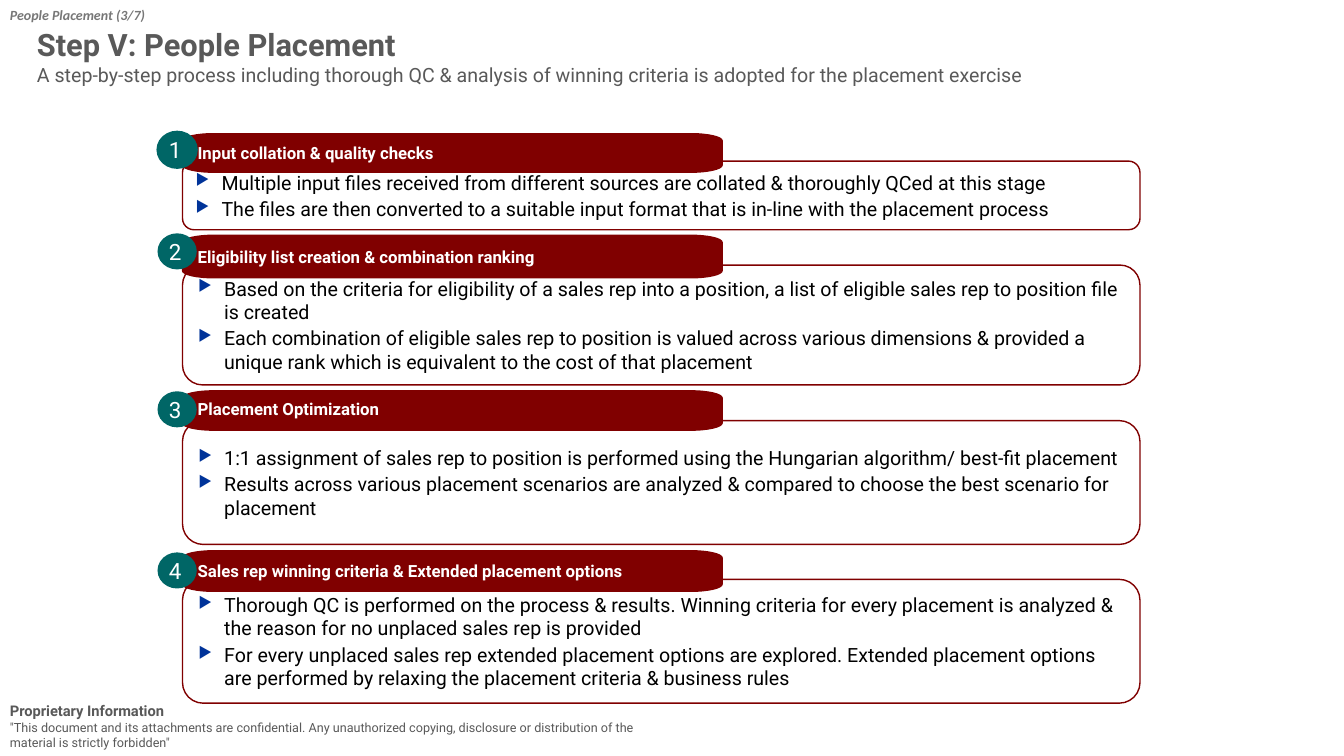
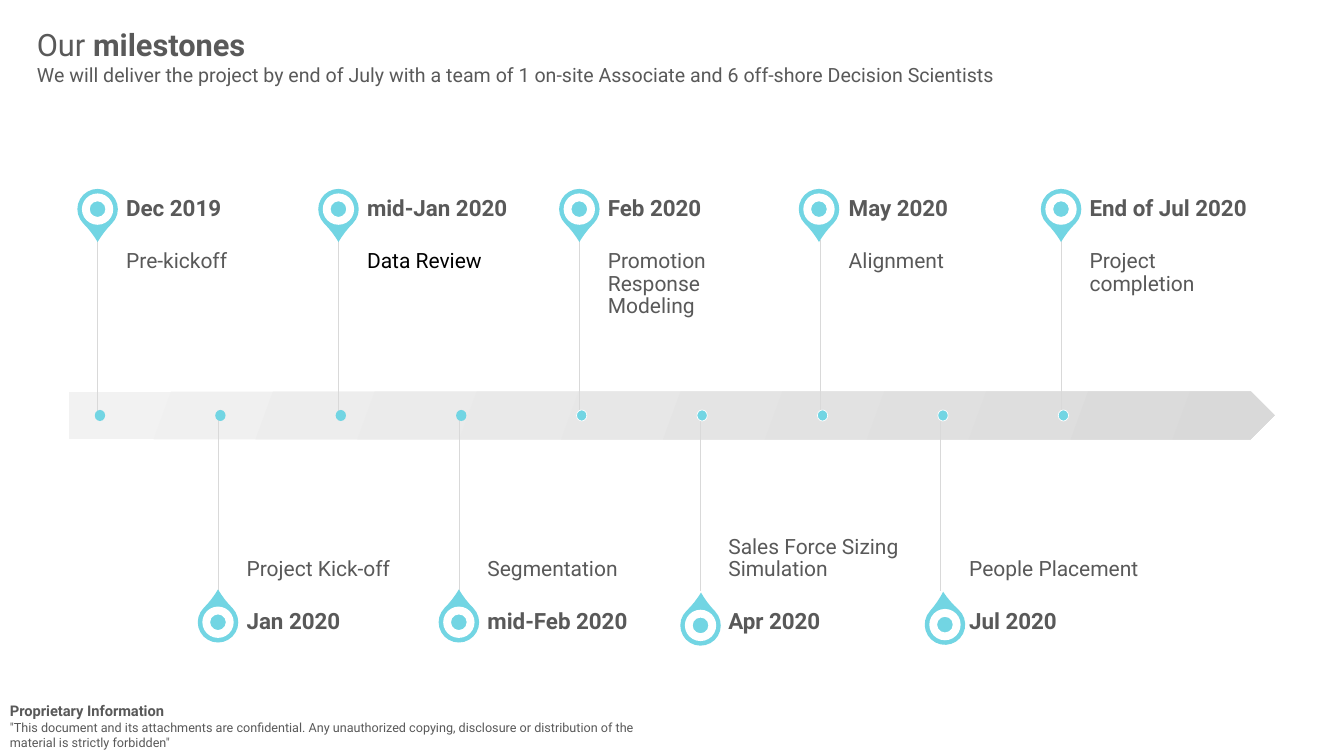
from lxml.etree import SubElement
from pptx import Presentation
from pptx.dml.color import RGBColor
from pptx.enum.shapes import MSO_CONNECTOR as Connector, MSO_SHAPE as Preset
from pptx.enum.text import MSO_ANCHOR as Anchor, MSO_AUTO_SIZE as AutoSize, PP_ALIGN as Align
from pptx.oxml.ns import qn
from pptx.util import Cm, Pt

COLOURS = {
    "text": "595959", "black": "000000", "white": "FFFFFF", "tag": "777777",
    "maroon": "800000", "badge": "006666", "bullet": "003399",
    "pin": "72D5E3", "rule": "D9D9D9", "band_start": "F2F2F2",
}
FORMATS = {
    "title": {"size": Pt(22), "bold": True},
    "title_light": {"size": Pt(22), "bold": False},
    "subtitle": {"size": Pt(14), "bold": False},
    "tag": {"size": Pt(10), "bold": True, "italic": True, "name": "Calibri"},
    "owner": {"size": Pt(10.5), "bold": True},
    "notice": {"size": Pt(9)},
    "detail": {"size": Pt(14)},
    "heading": {"size": Pt(12), "bold": True},
    "number": {"size": Pt(16)},
    "date": {"size": Pt(16), "bold": True},
    "event": {"size": Pt(15)},
}
INSETS = ("margin_left", "margin_top", "margin_right", "margin_bottom")
DEFAULT_INSETS = (0.25, 0.13, 0.25, 0.13)

STEPS = [
    ("Input collation & quality checks", (3.37, 0.97), (4.06, 1.73), 3.32, [
        "Multiple input files received from different sources are collated & thoroughly QCed at this stage",
        "The files are then converted to a suitable input format that is in-line with the placement process",
    ]),
    ("Eligibility list creation & combination ranking", (5.93, 1.07), (6.68, 3.02), 5.88, [
        "Based on the criteria for eligibility of a sales rep into a position, a list of eligible "
        "sales rep to position file is created",
        "Each combination of eligible sales rep to position is valued across various dimensions & "
        "provided a unique rank which is equivalent to the cost of that placement",
    ]),
    ("Placement Optimization", (9.85, 0.99), (10.6, 3.12), 9.86, [
        "1:1 assignment of sales rep to position is performed using the Hungarian algorithm/ "
        "best-fit placement",
        "Results across various placement scenarios are analyzed & compared to choose the best "
        "scenario for placement",
    ]),
    ("Sales rep winning criteria & Extended placement options", (13.88, 1.02), (14.6, 3.12), 13.92, [
        "Thorough QC is performed on the process & results. Winning criteria for every placement "
        "is analyzed & the reason for no unplaced sales rep is provided",
        "For every unplaced sales rep extended placement options are explored. Extended placement "
        "options are performed by relaxing the placement criteria & business rules",
    ]),
]
TIGHT_HEADINGS = {"Placement Optimization"}
STEP_LEFT, PANEL_WIDTH, HEADING_WIDTH = 4.6, 24.13, 13.6

MILESTONES = [
    ("Dec 2019", "Pre-kickoff"),
    ("Jan 2020", "Project Kick-off"),
    ("mid-Jan 2020", "Data Review"),
    ("mid-Feb 2020", "Segmentation"),
    ("Feb 2020", "Promotion Response Modeling"),
    ("Apr 2020", "Sales Force Sizing Simulation"),
    ("May 2020", "Alignment"),
    ("Jul 2020", "People Placement"),
    ("End of Jul 2020", "Project completion"),
]
BLACK_EVENTS = {"Data Review"}
PIN_SHIFTS = {"Apr 2020": (0.02, 0.08, 0.8), "May 2020": (-0.03, 0, 0), "Jul 2020": (0.11, 0.06, -3.2)}
FIRST_STOP, LAST_STOP, AXIS, STEM = 2.46, 26.74, 10.48, 4.42
STOP_PITCH = (LAST_STOP - FIRST_STOP) / (len(MILESTONES) - 1)
OUTLINED_FROM = 4


def rgb(colour):
    return RGBColor.from_string(COLOURS[colour])


def apply(target, values):
    for attribute, value in values.items():
        setattr(target, attribute, value)


def write(frame, paragraphs, colour="text", insets=DEFAULT_INSETS, wrap=True,
          anchor=Anchor.TOP, bullets=False, **paragraph_format):
    apply(frame, {"word_wrap": wrap, "vertical_anchor": anchor, "auto_size": AutoSize.NONE})
    apply(frame, dict(zip(INSETS, map(Cm, insets))))
    for index, runs in enumerate(paragraphs):
        paragraph = frame.add_paragraph() if index else frame.paragraphs[0]
        if bullets:
            add_bullet(paragraph)
        apply(paragraph, {"alignment": Align.LEFT, "space_before": Pt(2 if bullets and index else 0),
                          **paragraph_format})
        for text, style in runs:
            run = paragraph.add_run()
            run.text = text
            apply(run.font, {"name": "Roboto", **FORMATS[style]})
            run.font.color.rgb = rgb(colour)


def add_bullet(paragraph):
    properties = paragraph._p.get_or_add_pPr()
    properties.set("marL", str(Cm(0.65)))
    properties.set("indent", str(-Cm(0.65)))
    tint = SubElement(properties, qn("a:buClr"))
    SubElement(tint, qn("a:srgbClr")).set("val", COLOURS["bullet"])
    SubElement(properties, qn("a:buSzPct")).set("val", "80000")
    SubElement(properties, qn("a:buChar")).set("char", "▶")


def paint(shape, fill, line=None, width=1):
    shape.shadow.inherit = False
    shape.fill.solid()
    shape.fill.fore_color.rgb = rgb(fill)
    if line:
        shape.line.color.rgb = rgb(line)
        shape.line.width = Pt(width)
    else:
        shape.line.fill.background()
    return shape


def add_preset(slide, preset, box, fill, line=None, width=1):
    return paint(slide.shapes.add_shape(preset, *map(Cm, box)), fill, line, width)


def add_text(slide, box, paragraphs, **options):
    text_box = slide.shapes.add_textbox(*map(Cm, box))
    write(text_box.text_frame, paragraphs, **options)
    return text_box


def add_title(slide, title_runs, subtitle):
    title = slide.shapes.title
    apply(title, dict(zip(("left", "top", "width", "height"), map(Cm, (0.68, 0.51, 30.91, 1.8)))))
    write(title.text_frame, [title_runs, [(subtitle, "subtitle")]], anchor=Anchor.MIDDLE)


def share_footer(slide):
    footer = add_text(slide, (0, 17.56, 16.94, 1.47), [
        [("Proprietary Information", "owner")],
        [('"This document and its attachments are confidential. Any unauthorized copying, '
          'disclosure or distribution of the material is strictly forbidden"', "notice")],
    ])
    slide.slide_layout.shapes.element.append(footer.element)


def round_corners(outline):
    segments = list(outline.element.iter(qn("a:moveTo"), qn("a:lnTo")))
    ends = [(int(segment[0].get("x")), int(segment[0].get("y"))) for segment in segments]
    for index in range(1, 8, 2):
        start, end = ends[index - 1], ends[index]
        vertex = (start[0], end[1]) if index in (1, 5) else (end[0], start[1])
        handles = [tuple(round(a + 0.55 * (b - a)) for a, b in zip(point, vertex))
                   for point in (start, end)]
        line = segments[index]
        curve = line.makeelement(qn("a:cubicBezTo"))
        for x, y in (*handles, end):
            SubElement(curve, qn("a:pt"), x=str(x), y=str(y))
        line.getparent().replace(line, curve)


def add_heading(slide, top, height, text):
    radius_x, radius_y = 0.79, 0.18
    left, right, bottom = STEP_LEFT, STEP_LEFT + HEADING_WIDTH, top + height
    points = [
        (left, top + radius_y), (left + radius_x, top),
        (right - radius_x, top), (right, top + radius_y),
        (right, bottom - radius_y), (right - radius_x, bottom),
        (left + radius_x, bottom), (left, bottom - radius_y),
    ]
    outline = [(Cm(x), Cm(y)) for x, y in points]
    builder = slide.shapes.build_freeform(*outline[0])
    builder.add_line_segments(outline[1:], close=True)
    heading = paint(builder.convert_to_shape(), "maroon", "maroon")
    round_corners(heading)
    spacing = {"line_spacing": 0.9} if text in TIGHT_HEADINGS else {}
    write(heading.text_frame, [[(text, "heading")]], colour="white",
          insets=(0.38, 0.1, 0.38, 0.1), anchor=Anchor.MIDDLE, **spacing)


def add_step(slide, number, heading, heading_span, panel_span, badge_top, details):
    panel_top, panel_height = panel_span
    panel = add_preset(slide, Preset.ROUNDED_RECTANGLE,
                       (STEP_LEFT, panel_top, PANEL_WIDTH, panel_height), "white", "maroon")
    write(panel.text_frame, [[(detail, "detail")] for detail in details], colour="black",
          anchor=Anchor.MIDDLE, bullets=True)
    add_heading(slide, *heading_span, heading)
    badge = add_preset(slide, Preset.OVAL, (3.97, badge_top, 0.99, 0.91), "badge",
                       "badge" if number == 1 else None, 1.5)
    write(badge.text_frame, [[(str(number), "number")]], colour="white",
          insets=(0.08, 0.13, 0.18, 0.13), wrap=False, anchor=Anchor.MIDDLE,
          alignment=Align.CENTER)


def add_pin(slide, x, y, rotation):
    drop_size, ring_size = 1.02, 0.79
    drop = add_preset(slide, Preset.TEAR,
                      (x - drop_size / 2, y - drop_size / 2, drop_size, drop_size), "pin")
    drop.adjustments[0] = 1.15
    drop.rotation = rotation
    add_preset(slide, Preset.DONUT,
               (x - ring_size / 2, y - ring_size / 2, ring_size, ring_size), "white")


def add_stem(slide, x, top):
    stem = slide.shapes.add_connector(Connector.STRAIGHT, Cm(x), Cm(top), Cm(x), Cm(top + STEM))
    stem.line.color.rgb = rgb("rule")
    stem.line.width = Pt(0.25)
    SubElement(stem.element.spPr, qn("a:effectLst"))


def add_milestone(slide, index, date, event):
    above = index % 2 == 0
    x = FIRST_STOP + index * STOP_PITCH
    stem_top = AXIS - STEM if above else AXIS
    date_top = 4.5 if above else AXIS + STEM
    shift_x, shift_y, turn = PIN_SHIFTS.get(date, (0, 0, 0))
    add_stem(slide, x, stem_top)
    add_pin(slide, x + shift_x, (5.27 if above else 15.68) + shift_y,
            (135 if above else 315) + turn)
    add_text(slide, (x + 0.72, stem_top, 4.67, STEM), [[(event, "event")]],
             colour="black" if event in BLACK_EVENTS else "text",
             insets=(0, 0.25, 0.25, 0.41) if above else (0, 0.41, 0, 0.25),
             anchor=Anchor.TOP if above else Anchor.BOTTOM, line_spacing=0.9)
    add_text(slide, (x + 0.72, date_top, 4.67, 1.55), [[(date, "date")]],
             insets=(0, 0, 0.28, 0), anchor=Anchor.MIDDLE, line_spacing=0.9)
    add_preset(slide, Preset.OVAL, (x - 0.07, 10.33, 0.26, 0.28), "pin",
               "white" if index >= OUTLINED_FROM else None, 0.5)


def add_time_band(slide):
    band = add_preset(slide, Preset.PENTAGON, (1.74, 9.87, 30.38, 1.2), "rule")
    band.fill.gradient()
    band.fill.gradient_angle = 340
    for stop, colour in zip(band.fill.gradient_stops, ("band_start", "rule")):
        stop.color.rgb = rgb(colour)


def build_placement(slide):
    add_title(slide, [("Step V: People Placement", "title")],
              "A step-by-step process including thorough QC & analysis of winning criteria "
              "is adopted for the placement exercise")
    for number, step in enumerate(STEPS, 1):
        add_step(slide, number, *step)
    add_text(slide, (0, 0.03, 3.99, 0.69), [[("People Placement (3/7)", "tag")]],
             colour="tag", wrap=False)


def build_milestones(slide):
    add_title(slide, [("Our ", "title_light"), ("milestones", "title")],
              "We will deliver the project by end of July with a team of 1 on-site Associate "
              "and 6 off-shore Decision Scientists")
    add_time_band(slide)
    for index, milestone in enumerate(MILESTONES):
        add_milestone(slide, index, *milestone)


def main():
    deck = Presentation()
    apply(deck, {"slide_width": Cm(33.87), "slide_height": Cm(19.05)})
    title_only = deck.slide_layouts[5]
    placement, milestones = (deck.slides.add_slide(title_only) for _ in range(2))
    share_footer(placement)
    build_placement(placement)
    build_milestones(milestones)
    deck.save("out.pptx")


if __name__ == "__main__":
    main()
